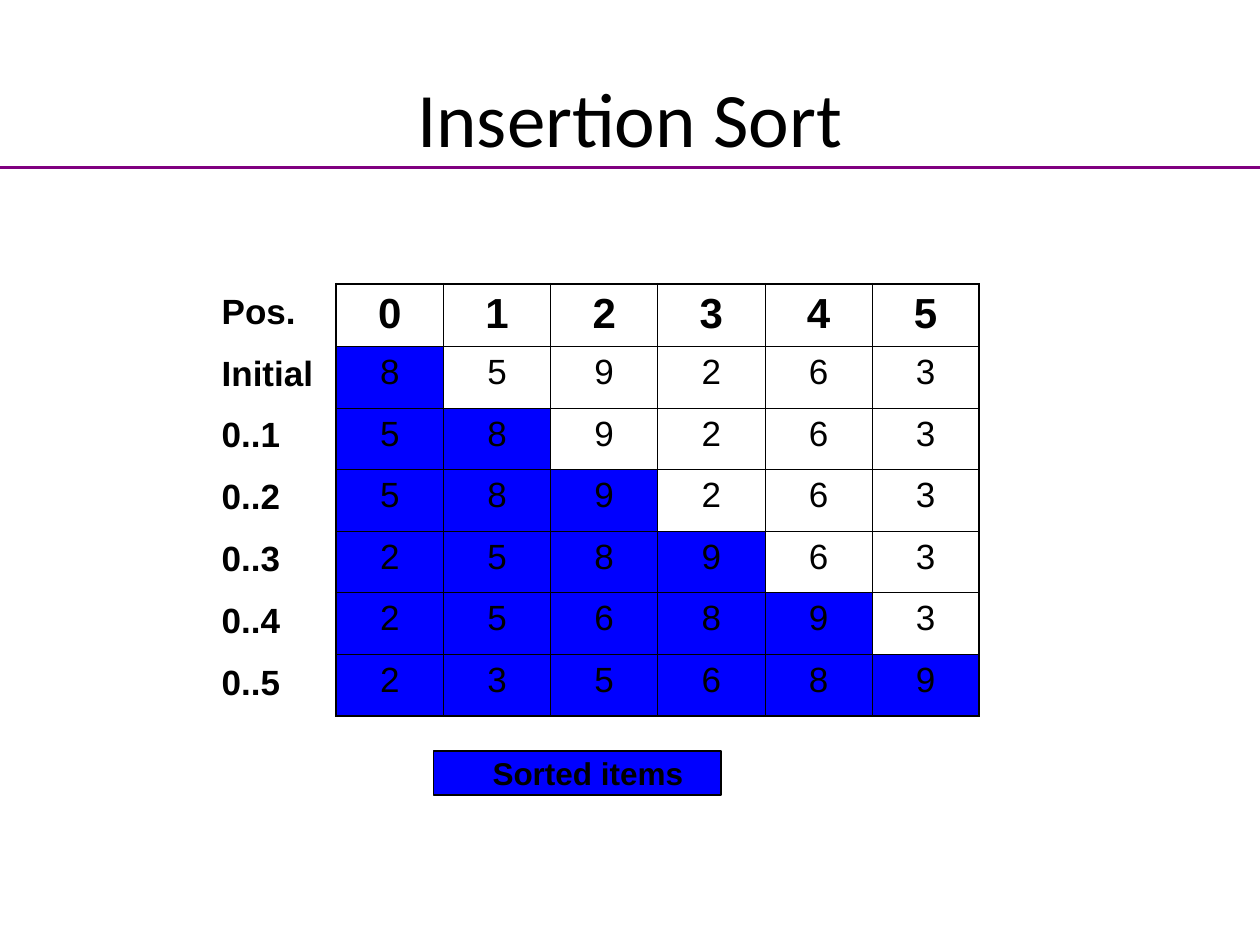
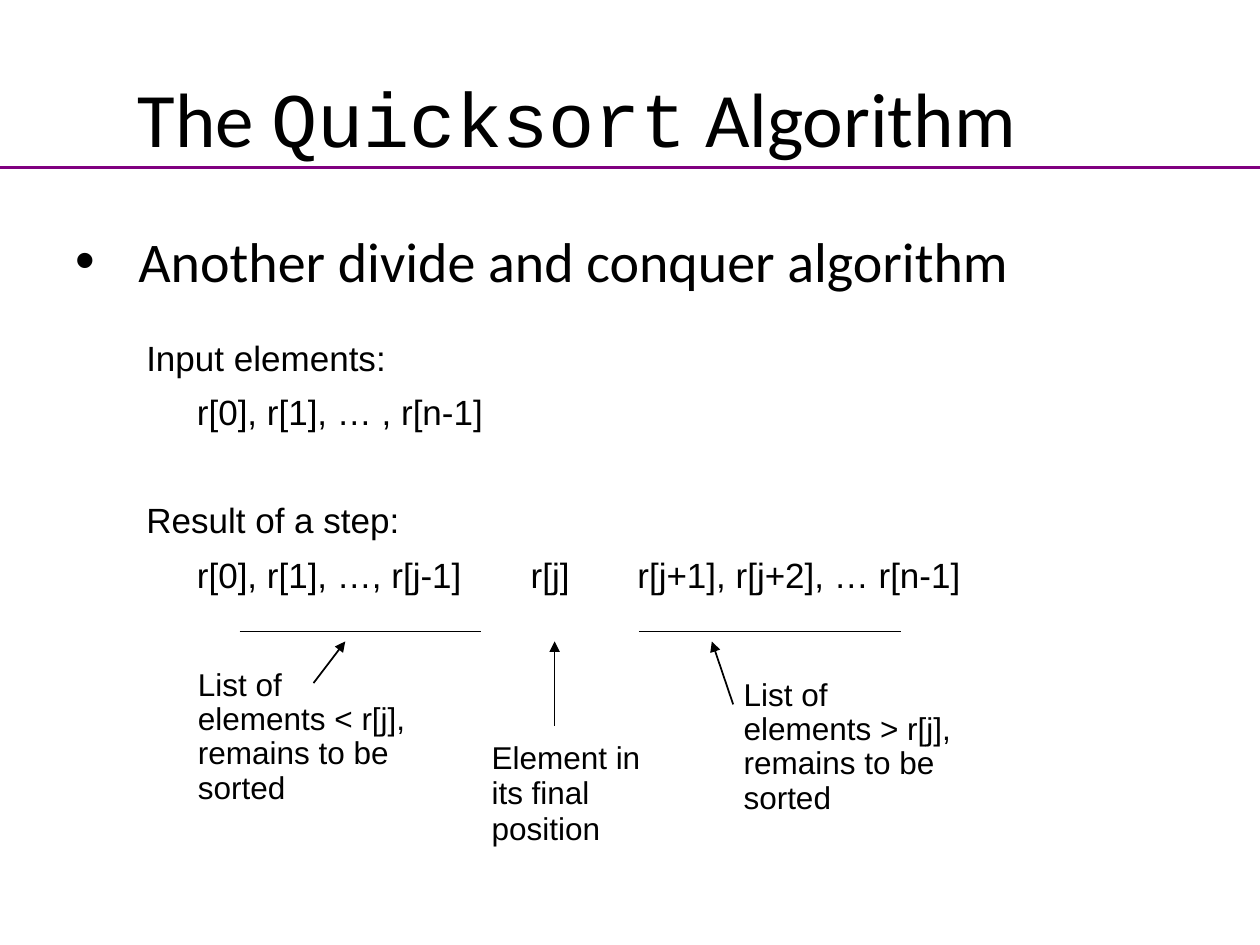
from lxml.etree import SubElement
from pptx import Presentation
from pptx.dml.color import RGBColor
from pptx.enum.shapes import MSO_CONNECTOR, MSO_SHAPE
from pptx.enum.text import MSO_ANCHOR, PP_ALIGN
from pptx.oxml.ns import qn
from pptx.util import Cm, Pt

BLACK = RGBColor(0x00, 0x00, 0x00)
SORTED_BLUE = RGBColor(0x00, 0x00, 0xFF)
RULE_PURPLE = RGBColor(0x80, 0x00, 0x80)
TITLE_FONT, BODY_FONT, CODE_FONT = "Calibri", "Arial", "Courier New"
SMALL_INSETS = dict(margin_left=Cm(0.18), margin_right=Cm(0.18),
                    margin_top=Cm(0.09), margin_bottom=Cm(0.09))


def write(tf, paragraphs, size, font=BODY_FONT, bold=False, frame=None, **fmt):
    """Fill a text frame; a paragraph is a string or a list of (text, font) runs."""
    for name, value in {"word_wrap": True, **(frame or {})}.items():
        setattr(tf, name, value)
    for i, runs in enumerate(paragraphs):
        p = tf.add_paragraph() if i else tf.paragraphs[0]
        for name, value in fmt.items():
            if i or name != "space_before":
                setattr(p, name, value)
        for text, face in [(runs, font)] if isinstance(runs, str) else runs:
            r = p.add_run()
            r.text = text
            r.font.name, r.font.size, r.font.bold = face, Pt(size), bold
            r.font.color.rgb = BLACK


def add_line(slide, x1, y1, x2, y2, color=BLACK, width=1, arrow=False):
    ln = slide.shapes.add_connector(MSO_CONNECTOR.STRAIGHT, Cm(x1), Cm(y1), Cm(x2), Cm(y2))
    ln.line.color.rgb = color
    ln.line.width = Pt(width)
    pr = ln._element.spPr
    if arrow:
        SubElement(pr.find(qn("a:ln")), qn("a:tailEnd"), type="triangle")
    SubElement(pr, qn("a:effectLst"))


prs = Presentation()
prs.slide_width, prs.slide_height = Cm(25.4), Cm(19.05)

# Shared title and rule
TITLES = [
    (1.27, [("Insertion Sort", TITLE_FONT)]),
    (0.2, [("The ", TITLE_FONT), ("Quicksort", CODE_FONT), (" Algorithm", TITLE_FONT)]),
]
slides = []
for left, title in TITLES:
    s = prs.slides.add_slide(prs.slide_layouts[6])
    box = s.shapes.add_textbox(Cm(left), Cm(0.76), Cm(22.86), Cm(3.18))
    write(box.text_frame, [title], 44, alignment=PP_ALIGN.CENTER,
          frame={"vertical_anchor": MSO_ANCHOR.MIDDLE})
    add_line(s, 0, 3.38, 25.4, 3.38, RULE_PURPLE, 1.5)
    slides.append(s)
insertion, quicksort = slides

# Insertion sort: each row sorts one more leading item
items = [8, 5, 9, 2, 6, 3]
n = len(items)
rows = [list(range(n))] + [sorted(items[:k]) + items[k:] for k in range(1, n + 1)]
table = insertion.shapes.add_table(n + 1, n, Cm(6.78), Cm(5.72), Cm(12.96), Cm(8.71)).table
table.first_row = table.horz_banding = False
for col in table.columns:
    col.width = Cm(2.16)
for i, values in enumerate(rows):
    table.rows[i].height = Cm(1.24 if i else 1.27)
    for j, value in enumerate(values):
        cell = table.cell(i, j)
        write(cell.text_frame, [str(value)], 20 if i else 24, bold=i == 0,
              alignment=PP_ALIGN.CENTER)
        pr = cell._tc.get_or_add_tcPr()
        outer = {"lnL": j == 0, "lnR": j == n - 1, "lnT": i == 0, "lnB": i == n}
        for side, is_outer in outer.items():
            edge = SubElement(pr, qn(f"a:{side}"), w=str(Pt(1.08 if is_outer else 0.45)))
            fill = SubElement(edge, qn("a:solidFill"))
            SubElement(fill, qn("a:srgbClr"), val=str(BLACK))
        if j < i:
            cell.fill.solid()
            cell.fill.fore_color.rgb = SORTED_BLUE
        else:
            cell.fill.background()

labels = insertion.shapes.add_textbox(Cm(4.22), Cm(5.77), Cm(2.77), Cm(8.53))
write(labels.text_frame, ["Pos.", "Initial"] + [f"0..{k}" for k in range(1, n)], 20,
      bold=True, line_spacing=0.95, space_before=Pt(12.5))

legend = insertion.shapes.add_shape(MSO_SHAPE.RECTANGLE, Cm(8.74), Cm(15.14), Cm(5.79), Cm(0.89))
legend.shadow.inherit = False
legend.fill.solid()
legend.fill.fore_color.rgb = SORTED_BLUE
legend.line.color.rgb = BLACK
legend.line.width = Pt(1)
write(legend.text_frame, ["Sorted items"], 18, bold=True, alignment=PP_ALIGN.LEFT,
      frame=dict(margin_left=Cm(1.19), margin_right=0, margin_top=0, margin_bottom=0,
                 vertical_anchor=MSO_ANCHOR.MIDDLE))

# Quicksort: headline bullet
box = quicksort.shapes.add_textbox(Cm(1.27), Cm(4.45), Cm(22.43), Cm(2.11))
write(box.text_frame, ["Another divide and conquer algorithm"], 32, TITLE_FONT)
pr = box.text_frame.paragraphs[0]._p.get_or_add_pPr()
pr.set("marL", str(Cm(1.27)))
pr.set("indent", str(-Cm(1.27)))
SubElement(pr, qn("a:buFont"), typeface=BODY_FONT)
SubElement(pr, qn("a:buChar"), char="•")

# Input and result of one step
box = quicksort.shapes.add_textbox(Cm(2.77), Cm(6.78), Cm(22), Cm(6.4))
write(box.text_frame, [
    "Input elements:",
    "\tr[0], r[1], … , r[n-1]",
    "Result of a step:",
    "\tr[0], r[1], …, r[j-1]\tr[j]\tr[j+1], r[j+2], … r[n-1]",
], 20, frame=SMALL_INSETS, line_spacing=0.91, space_before=Pt(9.2))
box.text_frame.paragraphs[2].space_before = Pt(40)
for p in box.text_frame.paragraphs:
    tabs = SubElement(p._p.get_or_add_pPr(), qn("a:tabLst"))
    for pos in (1.02, 7.75, 9.9):
        SubElement(tabs, qn("a:tab"), pos=str(Cm(pos)), algn="l")

# Underlines and arrows to the three parts
for x1, x2 in [(4.83, 9.7), (12.88, 18.16)]:
    add_line(quicksort, x1, 12.73, x2, 12.73)
for x1, y1, x2 in [(11.18, 14.63, 11.18), (6.32, 13.77, 6.96), (14.78, 14.2, 14.35)]:
    add_line(quicksort, x1, y1, x2, 12.93, arrow=True)

NOTES = [
    (3.81, 13.39, 5.05, 2.92, 0.91, ["List of", "elements < r[j], remains to be sorted"]),
    (14.81, 13.59, 5.05, 2.92, 0.91, ["List of", "elements > r[j], remains to be sorted"]),
    (9.73, 14.86, 3.56, 2.26, 0.93, ["Element in its final position"]),
]
for left, top, width, height, spacing, paragraphs in NOTES:
    box = quicksort.shapes.add_textbox(Cm(left), Cm(top), Cm(width), Cm(height))
    write(box.text_frame, paragraphs, 18, frame=SMALL_INSETS, line_spacing=spacing)

prs.save("out.pptx")
